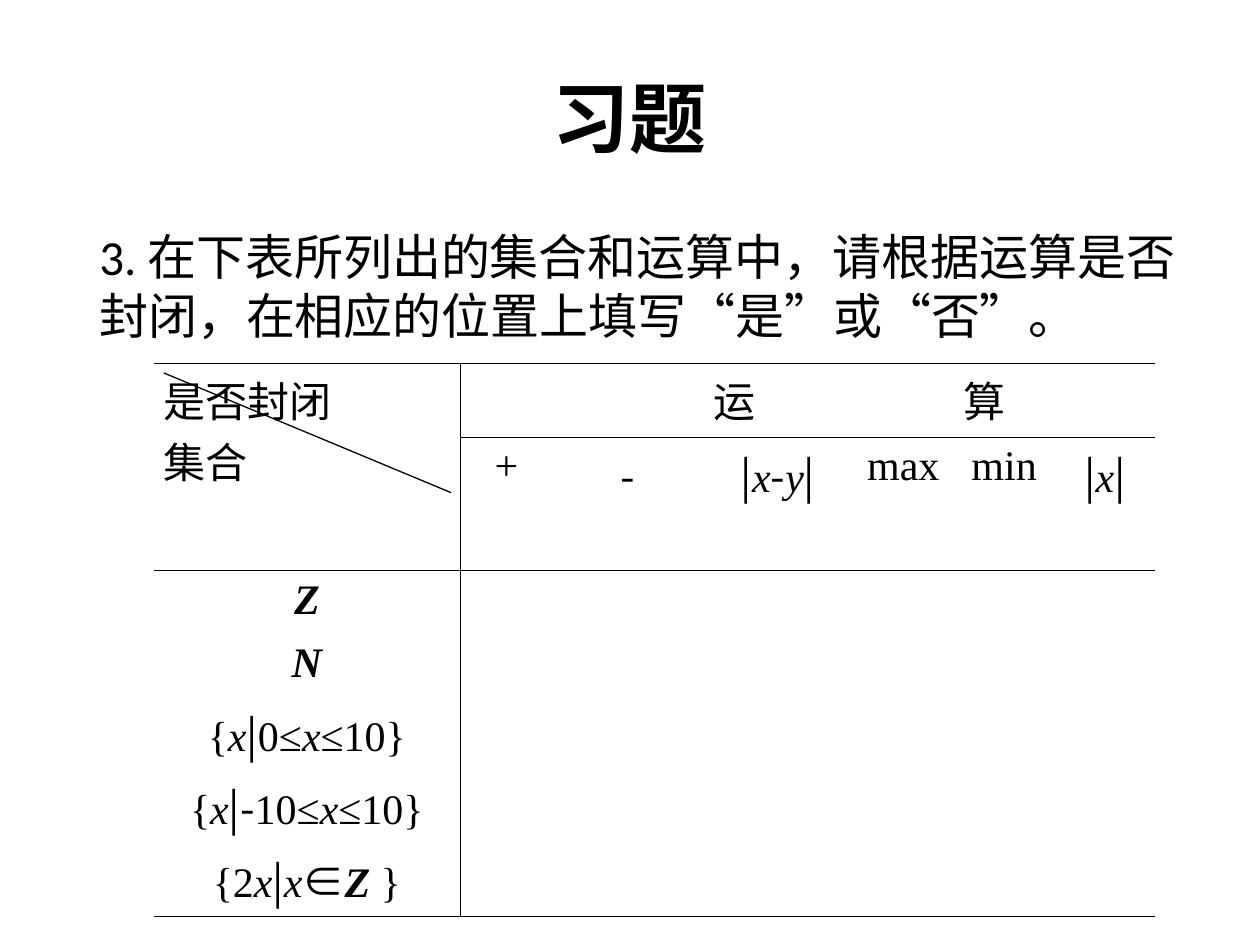
from dataclasses import dataclass

from lxml import etree
from pptx import Presentation
from pptx.dml.color import RGBColor
from pptx.enum import shapes, text
from pptx.oxml import ns
from pptx.util import Inches, Pt


@dataclass(frozen=True)
class Theme:
    ink: str = "000000"
    heading: str = "Calibri"
    serif: str = "Times New Roman"
    cjk: str = "Noto Sans CJK SC"
    title: int = 44
    body: int = 28
    cell: int = 24
    border: float = 0.45
    diagonal: float = 0.75


T = Theme()
INK = RGBColor.from_string(T.ink)
CENTER, JUSTIFY = text.PP_ALIGN.CENTER, text.PP_ALIGN.JUSTIFY

# Run styles used in the formulas
PLAIN = dict(name=T.serif)
VAR = dict(name=T.serif, italic=True)
SET = dict(name=T.serif, bold=True, italic=True)
SIGN = dict(name=T.cjk)

X, BAR = ("x", VAR), ("|", SIGN)
HEADER = [[("是否封闭", PLAIN)], [("集合", PLAIN)]]
OPERATION_TITLE = {3: "运", 5: "算"}
OPERATIONS = [
    [("+", PLAIN)],
    [("-", SIGN)],
    [BAR, X, ("-", SIGN), ("y", VAR), BAR],
    [("max", PLAIN)],
    [("min", PLAIN)],
    [BAR, X, BAR],
]
SETS = [
    [("Z", SET)],
    [("N", SET)],
    [("{", PLAIN), X, BAR, ("0≤", PLAIN), X, ("≤10}", PLAIN)],
    [("{", PLAIN), X, ("|-", SIGN), ("10≤", PLAIN), X, ("≤10}", PLAIN)],
    [("{2", PLAIN), X, BAR, X, ("∈", SIGN), ("Z", SET), (" }", PLAIN)],
]
COLS = [2.43, 0.74, 1.19, 1.19, 0.8, 0.8, 0.8]
ROWS = [0.59, 1.06] + [0.47] * 2 + [0.58] * 3


def add_run(p, words, size, style):
    r = p.add_run()
    r.text = words
    for key, value in {"size": Pt(size), "bold": False, "italic": False,
                       **style}.items():
        setattr(r.font, key, value)
    r.font.color.rgb = INK
    ea = etree.SubElement(r.font._element, ns.qn("a:ea"))
    ea.set("typeface", T.cjk)


def add_text(s, box, words, size, style, anchor, align):
    tf = s.shapes.add_textbox(*map(Inches, box)).text_frame
    tf.word_wrap = True
    tf.vertical_anchor = anchor
    p = tf.paragraphs[0]
    p.alignment = align
    add_run(p, words, size, style)
    return p


def add_title(s, box):
    add_text(s, box, "习题", T.title, dict(name=T.heading, bold=True),
             text.MSO_ANCHOR.MIDDLE, CENTER)


def add_question(s, box):
    p = add_text(s, box,
                 "3. 在下表所列出的集合和运算中，请根据运算是否封闭，"
                 "在相应的位置上填写“是”或“否”。",
                 T.body, dict(name=T.heading), text.MSO_ANCHOR.TOP,
                 text.PP_ALIGN.LEFT)
    p._p.get_or_add_pPr().set("marL", str(Inches(0.38)))


def fill_cell(cell, lines, align):
    tf = cell.text_frame
    for i, runs in enumerate(lines):
        p = tf.add_paragraph() if i else tf.paragraphs[0]
        p.alignment = align
        for words, style in runs:
            add_run(p, words, T.cell, style)


def set_borders(cell, sides):
    tcPr = cell._tc.get_or_add_tcPr()
    for i, side in enumerate("LRTB"):
        ln = etree.Element(ns.qn(f"a:ln{side}"), w=str(Pt(T.border)))
        if side in sides:
            fill = etree.SubElement(ln, ns.qn("a:solidFill"))
            etree.SubElement(fill, ns.qn("a:srgbClr"), val=T.ink)
        else:
            etree.SubElement(ln, ns.qn("a:noFill"))
        tcPr.insert(i, ln)


def border_sides(row, col):
    sides = {0: "R", 1: "L"}.get(col, "")
    if row in (0, 2) or (row == 1 and col):
        sides += "T"
    if row in (0, 1, len(ROWS) - 1):
        sides += "B"
    return sides


def add_closure_table(s, box):
    table = s.shapes.add_table(len(ROWS), len(COLS), *map(Inches, box)).table
    table.first_row = table.horz_banding = False
    for col, width in zip(table.columns, COLS):
        col.width = Inches(width)
    for row, height in zip(table.rows, ROWS):
        row.height = Inches(height)
    table.cell(0, 0).merge(table.cell(1, 0))

    # Ruled lines without fills
    for r in range(len(ROWS)):
        for c in range(len(COLS)):
            cell = table.cell(r, c)
            for side in ("left", "right"):
                setattr(cell, f"margin_{side}", Inches(0.08))
            cell.fill.background()
            set_borders(cell, border_sides(r, c))

    # Headings, operations and sets
    fill_cell(table.cell(0, 0), HEADER, JUSTIFY)
    for c, words in OPERATION_TITLE.items():
        fill_cell(table.cell(0, c), [[(words, PLAIN)]], JUSTIFY)
    for c, runs in enumerate(OPERATIONS, 1):
        fill_cell(table.cell(1, c), [runs], CENTER)
    for r, runs in enumerate(SETS, 2):
        fill_cell(table.cell(r, 0), [runs], CENTER)

    # Diagonal of the corner cell
    left, top = box[:2]
    ends = (left + 0.08, top + 0.08, left + 2.36, top + 1.03)
    line = s.shapes.add_connector(shapes.MSO_CONNECTOR.STRAIGHT,
                                  *map(Inches, ends))
    line.line.color.rgb = INK
    line.line.width = Pt(T.diagonal)
    etree.SubElement(line._element.spPr, ns.qn("a:effectLst"))


def main():
    prs = Presentation()
    prs.slide_width, prs.slide_height = Inches(10), Inches(7.5)
    s = prs.slides.add_slide(prs.slide_layouts[6])
    add_title(s, (0.5, 0.3, 9, 1.25))
    add_question(s, (0.31, 1.75, 9.3, 4.95))
    add_closure_table(s, (1.22, 2.88, sum(COLS), sum(ROWS)))
    prs.save("out.pptx")


if __name__ == "__main__":
    main()
